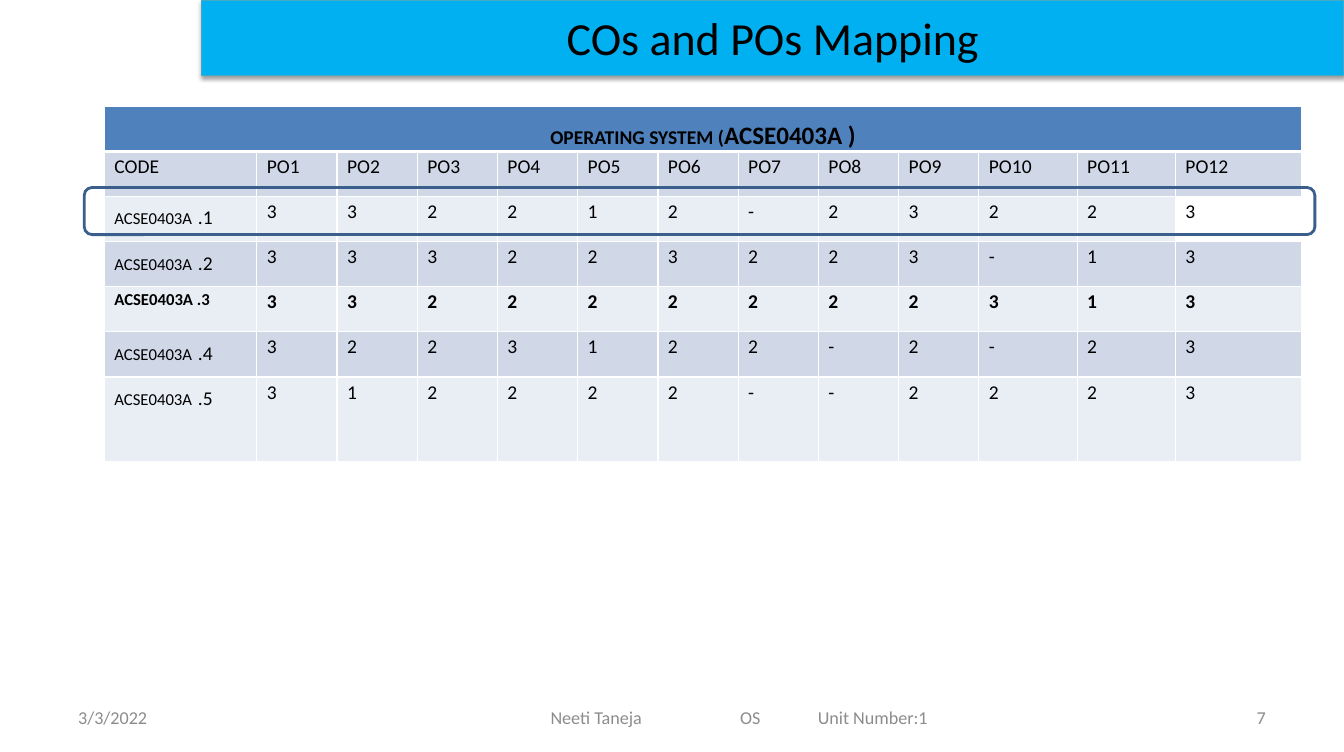
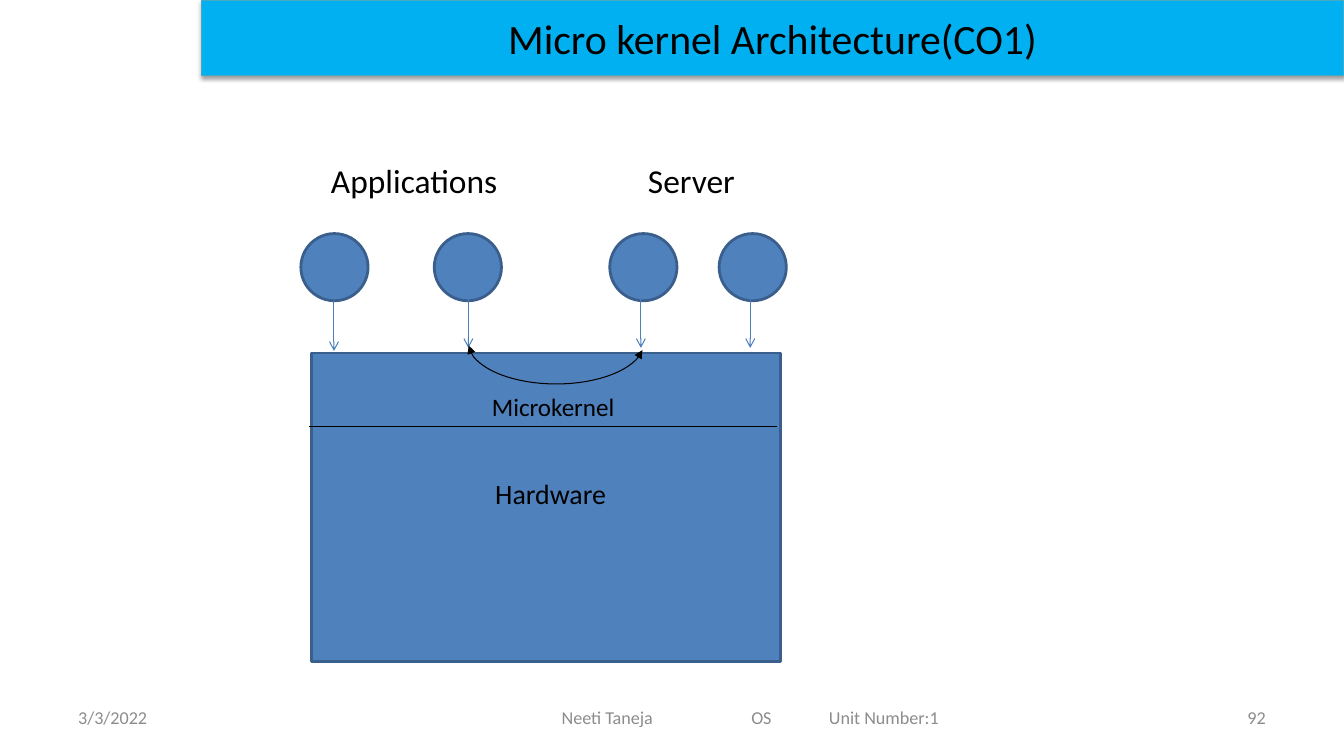
from dataclasses import dataclass
from typing import Any, NamedTuple

from lxml import etree
from pptx import Presentation
from pptx.dml.color import RGBColor
from pptx.enum.shapes import MSO_CONNECTOR, MSO_SHAPE
from pptx.enum.text import MSO_ANCHOR, PP_ALIGN
from pptx.oxml.ns import qn
from pptx.util import Inches, Pt

LEFT, MID, RIGHT = PP_ALIGN.LEFT, PP_ALIGN.CENTER, PP_ALIGN.RIGHT
TOP, HALF, BASE = MSO_ANCHOR.TOP, MSO_ANCHOR.MIDDLE, MSO_ANCHOR.BOTTOM
RECT, ROUND = MSO_SHAPE.RECTANGLE, MSO_SHAPE.ROUNDED_RECTANGLE
OVAL, ARC = MSO_SHAPE.OVAL, MSO_SHAPE.ARC
LINE = MSO_CONNECTOR.STRAIGHT

WIDE, HIGH = Inches(13.4), Inches(7.5)
COLS, ROWS = 134, 75
FACE = "Calibri"
BLACK, WHITE, GREY = "000000", "FFFFFF", "8C8C8C"
SKY, TEAL = "00B0F0", "46AAC5"
BLUE, NAVY, STEEL = "4F81BD", "3A5F8C", "4B7EBC"
DARK, PALE = "D0D8E8", "E9EDF4"


class Box(NamedTuple):
    x: float
    y: float
    w: float
    h: float


class Part(NamedTuple):
    text: str
    size: float
    bold: bool = False


@dataclass
class Style:
    size: float
    color: str = BLACK
    align: Any = LEFT
    anchor: Any = HALF
    pad: float = 1.1
    tabs: tuple[float, ...] = ()


@dataclass
class Page:
    title: str
    size: float
    number: str
    foot: Box
    pad: float


@dataclass
class Stroke:
    start: tuple[float, float]
    end: tuple[float, float]
    color: str = STEEL
    tail: str = ""


def across(n: float) -> int:
    return round(WIDE * n / COLS)


def down(n: float) -> int:
    return round(HIGH * n / ROWS)


def place(box: Box) -> tuple[int, int, int, int]:
    return across(box.x), down(box.y), across(box.w), down(box.h)


def paint(target: Any, color: str) -> None:
    if hasattr(target, "solid"):
        target.solid()
        target.fore_color.rgb = RGBColor.from_string(color)
    else:
        target.rgb = RGBColor.from_string(color)


def node(parent: Any, tag: str, **attrs: Any) -> Any:
    return etree.SubElement(parent, qn(tag), {k: str(v) for k, v in attrs.items()})


def pen(line: Any, color: str, width: float, head: str = "", tail: str = "") -> None:
    paint(line.fill, color)
    line.width = Pt(width)
    for tag, kind in (("a:headEnd", head), ("a:tailEnd", tail)):
        if kind:
            node(line.fill._xPr, tag, type=kind)


def font(run: Any, size: float, color: str = BLACK, bold: bool = False) -> None:
    run.font.name, run.font.size, run.font.bold = FACE, Pt(size), bold
    paint(run.font.color, color)


def write(shape: Any, text: str, style: Style) -> None:
    frame = shape.text_frame
    frame.word_wrap = True
    frame.vertical_anchor = style.anchor
    frame.margin_left, frame.margin_right = across(style.pad), across(1.1)
    frame.margin_top = frame.margin_bottom = down(0.5)
    frame.text = text
    para = frame.paragraphs[0]
    para.alignment = style.align
    if style.tabs:
        stops = node(para._p.get_or_add_pPr(), "a:tabLst")
        for stop in style.tabs:
            node(stops, "a:tab", pos=across(stop), algn="l")
    for run in para.runs:
        font(run, style.size, style.color)


def label(slide: Any, box: Box, text: str, style: Style) -> None:
    write(slide.shapes.add_textbox(*place(box)), text, style)


def form(slide: Any, kind: Any, box: Box, fill: str = "",
         edge: str = NAVY, width: float = 2, **ends: str) -> Any:
    shape = slide.shapes.add_shape(kind, *place(box))
    shape.shadow.inherit = False
    if fill:
        paint(shape.fill, fill)
    else:
        shape.fill.background()
    pen(shape.line, edge, width, **ends)
    return shape


def draw(slide: Any, mark: Stroke) -> None:
    (x, y), (u, v) = mark.start, mark.end
    line = slide.shapes.add_connector(LINE, across(x), down(y), across(u), down(v))
    pen(line.line, mark.color, 0.75, tail=mark.tail)
    node(line._element.spPr, "a:effectLst")


def start(deck: Any, page: Page) -> Any:
    slide = deck.slides.add_slide(deck.slide_layouts[6])
    band = form(slide, RECT, Box(20.1, 0, 113.9, 7.5), SKY, TEAL, 0.75)
    glow = node(band._element.spPr.find(qn("a:effectLst")), "a:outerShdw",
                blurRad=Pt(3.1), dist=Pt(1.6), dir=5400000, rotWithShape=0)
    node(node(glow, "a:srgbClr", val=BLACK), "a:alpha", val=38000)
    write(band, page.title, Style(page.size, align=MID))
    label(slide, Box(6.7, 69.5, 31.3, 4), "3/3/2022", Style(13, GREY))
    label(slide, page.foot, "Neeti Taneja\tOS\tUnit Number:1",
          Style(13, GREY, pad=page.pad, tabs=(18.9, 26.65)))
    label(slide, Box(96, 69.5, 31.3, 4), page.number, Style(13, GREY, RIGHT))
    return slide


def fill_cell(cell: Any, parts: list[Part], fill: str, under: float = 1) -> None:
    cell.margin_left = cell.margin_right = across(1)
    cell.margin_top = cell.margin_bottom = 0
    para = cell.text_frame.paragraphs[0]
    para.line_spacing = 1.15
    para.space_after = Pt(10)
    for part in parts:
        run = para.add_run()
        run.text = part.text
        font(run, part.size, bold=part.bold)
    props = cell._tc.get_or_add_tcPr()
    for side in "LRTB":
        edge = node(props, f"a:ln{side}", w=Pt(under if side == "B" else 1))
        node(node(edge, "a:solidFill"), "a:srgbClr", val=WHITE)
    if fill:
        paint(cell.fill, fill)
    else:
        cell.fill.background()


def chart_map(slide: Any) -> None:
    code = "ACSE0403A"
    marks = ("332212-23223", "333223223-13", "332222222313",
             "3223122-2-23", "312222--2223")
    widths = [15.2] + [8] * 9 + [9.8] * 2 + [12.6]
    heights = [4.5] * 6 + [8.4]
    box = Box(10.4, 10.6, sum(widths), sum(heights))
    grid = slide.shapes.add_table(len(heights), len(widths), *place(box)).table
    grid.first_row = grid.horz_banding = False
    for col, width in zip(grid.columns, widths):
        col.width = across(width)
    for row, height in zip(grid.rows, heights):
        row.height = down(height)

    head = grid.cell(0, 0)
    head.merge(grid.cell(0, len(widths) - 1))
    for c in range(len(widths)):
        parts = [Part("OPERATING SYSTEM (", 14, True), Part(f"{code} )", 18, True)]
        fill_cell(grid.cell(0, c), parts if c == 0 else [], BLUE, 3)
    head.vertical_anchor = BASE
    para = head.text_frame.paragraphs[0]
    para.alignment, para.space_after = MID, Pt(0)

    names = ["CODE"] + [f"PO{n}" for n in range(1, 13)]
    for c, name in enumerate(names):
        fill_cell(grid.cell(1, c), [Part(name, 14)], DARK)
    for n, line in enumerate(marks, 1):
        bold = n == 3
        tone = PALE if n % 2 else DARK
        first = ([Part(f"{code} .{n}", 12, True)] if bold else
                 [Part(code, 12), Part(" ", 18), Part(f".{n}", 14)])
        fill_cell(grid.cell(n + 1, 0), first, tone)
        for c, mark in enumerate(line, 1):
            bare = (n, c) == (1, 12)
            fill_cell(grid.cell(n + 1, c), [Part(mark, 14, bold)], "" if bare else tone)
    form(slide, ROUND, Box(8.4, 18.7, 122.7, 4.7))


def chart_core(slide: Any) -> None:
    label(slide, Box(13.2, 15.5, 112.9, 5.3), "Applications\tServer",
          Style(24, anchor=TOP, pad=19.8, tabs=(31.6,)))
    for x in (30, 43.3, 60.8, 71.7):
        form(slide, OVAL, Box(x, 23.3, 6.7, 6.7), BLUE)
    for x, y in ((33.3, 30), (46.7, 29.7), (63.9, 29.7), (74.8, 29.7)):
        draw(slide, Stroke((x, y), (x, y + 5), tail="arrow"))
    form(slide, RECT, Box(31.1, 35.2, 46.7, 30.8), BLUE)
    arc = form(slide, ARC, Box(46.7, 30, 17.5, 8.3), edge=BLACK, width=0.75,
               head="triangle", tail="triangle")
    arc.adjustments[0], arc.adjustments[1] = 109.23, 212.93
    arc._element.spPr.xfrm.set("flipV", "1")
    draw(slide, Stroke((30.8, 42.5), (77.5, 42.5), BLACK))
    label(slide, Box(42.8, 47, 24.2, 4.4), "Hardware", Style(20, align=MID, anchor=TOP))
    label(slide, Box(43.6, 37.5, 32.7, 5), "Microkernel",
          Style(18, anchor=BASE, pad=5.45))


def main() -> None:
    deck = Presentation()
    deck.slide_width, deck.slide_height = WIDE, HIGH
    chart_map(start(deck, Page("COs and POs Mapping", 33, "7",
                               Box(36.8, 69.5, 73.7, 4), 18.1)))
    chart_core(start(deck, Page("Micro kernel Architecture(CO1)", 30, "92",
                                Box(36.8, 69.5, 75.9, 4), 19.2)))
    deck.save("out.pptx")


if __name__ == "__main__":
    main()
